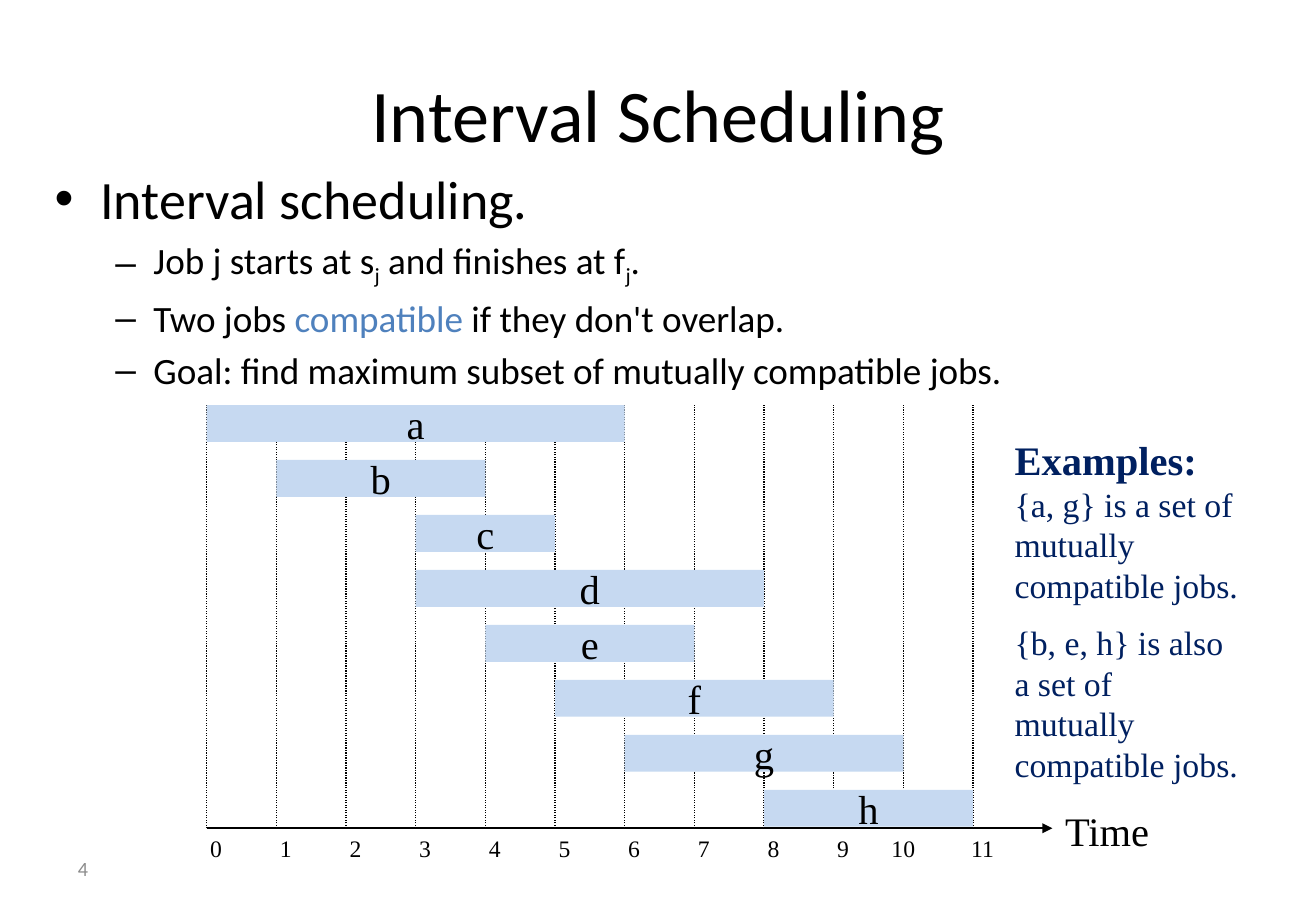
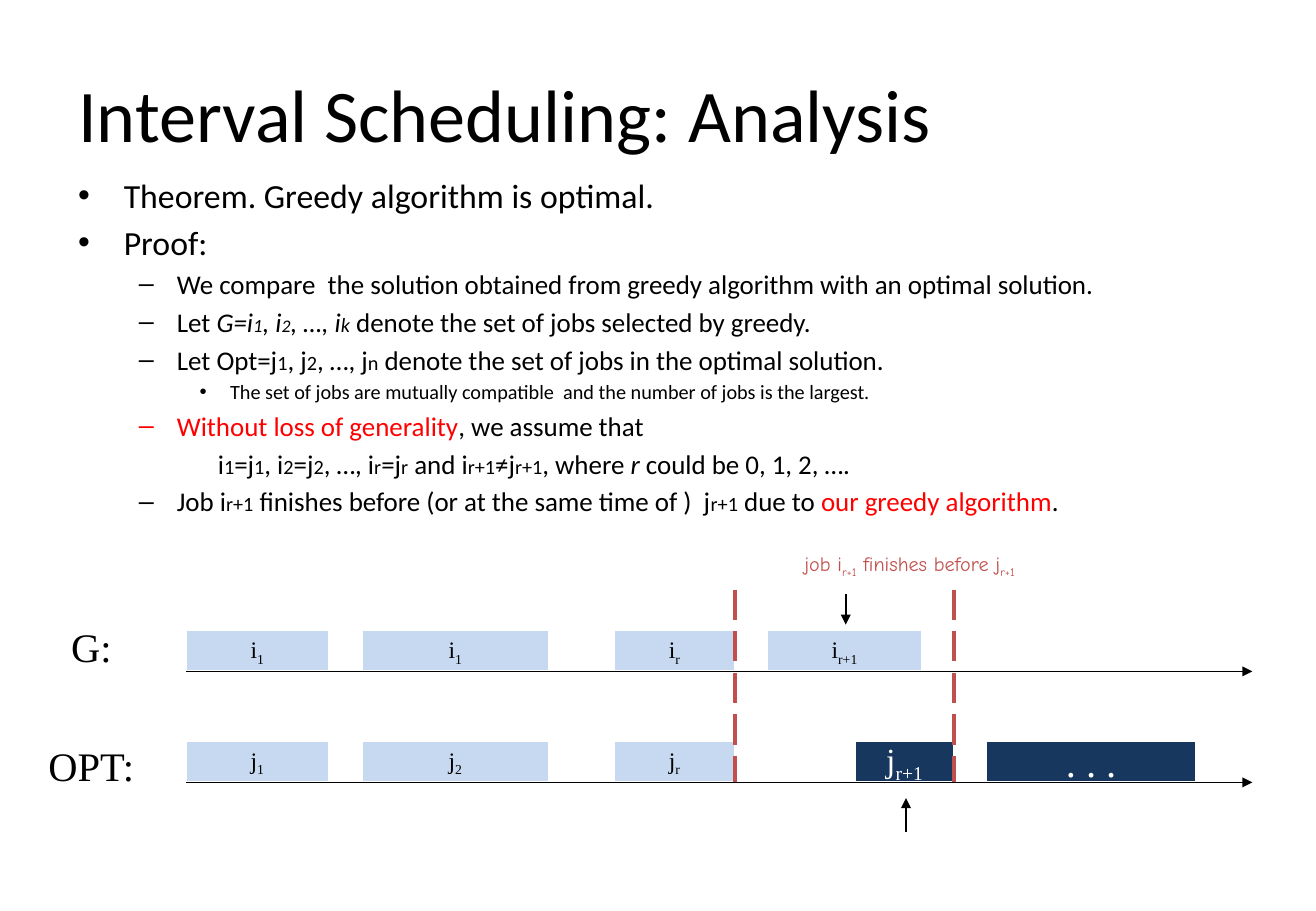
from dataclasses import dataclass

from lxml.etree import SubElement
from pptx import Presentation
from pptx.dml.color import RGBColor
from pptx.enum.dml import MSO_LINE as DASH
from pptx.enum.shapes import MSO_CONNECTOR as CONN, MSO_SHAPE as SHAPE
from pptx.enum.text import MSO_ANCHOR as ANCHOR, MSO_AUTO_SIZE as AUTO, PP_ALIGN as ALIGN
from pptx.oxml.ns import qn
from pptx.util import Cm, Pt


@dataclass(frozen=True)
class Theme:
    sans: str = "Calibri"
    serif: str = "Times New Roman"
    casual: str = "Comic Neue"
    black: str = "000000"
    white: str = "FFFFFF"
    red: str = "FF0000"
    accent: str = "4F81BD"
    marker: str = "C0504D"
    note: str = "002060"
    bar: str = "C6D9F1"
    dark_bar: str = "17375E"
    grey: str = "8C8C8C"
    title: int = 44
    big: int = 24
    medium: int = 20
    label: int = 14
    small: int = 12


T = Theme()
SUB = {"sub": True}
SMALL = {"size": T.small}


def write(p, text, low=None, font=T.serif, size=T.big, color=T.black,
          bold=False, italic=False, sub=False):
    for i, piece in enumerate(text.split("|")):
        if not piece:
            continue
        fmt = dict(font=font, size=size, color=color, bold=bold, italic=italic, sub=sub)
        if i % 2:
            fmt.update(low or {})
        r = p.add_run()
        r.text = piece
        r.font.name = fmt["font"]
        r.font.size = Pt(fmt["size"])
        r.font.color.rgb = RGBColor.from_string(fmt["color"])
        r.font.bold = fmt["bold"]
        r.font.italic = fmt["italic"]
        if fmt["sub"]:
            r._r.get_or_add_rPr().set("baseline", "-25000")


def write_spans(p, spans, **fmt):
    for span in spans:
        text, extra = (span, {}) if isinstance(span, str) else span
        write(p, text, **{**fmt, **extra})


def add_text(s, box, *lines, align=ALIGN.LEFT, anchor=ANCHOR.TOP, wrap=True,
             inset=None, **fmt):
    tf = s.shapes.add_textbox(*map(Cm, box)).text_frame
    tf.word_wrap = wrap
    tf.vertical_anchor = anchor
    if inset is not None:
        tf.margin_left = tf.margin_right = tf.margin_top = tf.margin_bottom = Cm(inset)
    for i, spans in enumerate(lines):
        p = tf.add_paragraph() if i else tf.paragraphs[0]
        p.alignment = align
        p.space_before = Pt(fmt.get("size", T.big) / 2 if i else 0)
        write_spans(p, spans, **fmt)


def add_bar(s, box, text, fill=T.bar, line=None, **fmt):
    sp = s.shapes.add_shape(SHAPE.RECTANGLE, *map(Cm, box))
    sp.shadow.inherit = False
    sp.fill.solid()
    sp.fill.fore_color.rgb = RGBColor.from_string(fill)
    if line:
        sp.line.color.rgb = RGBColor.from_string(line)
        sp.line.width = Pt(0.75)
    else:
        sp.line.fill.background()
    tf = sp.text_frame
    tf.word_wrap = False
    tf.vertical_anchor = ANCHOR.MIDDLE
    p = tf.paragraphs[0]
    p.alignment = ALIGN.CENTER
    write(p, text, low=SUB, **fmt)


def add_line(s, x1, y1, x2, y2, width, color=T.black, dash=None, arrow=False):
    cn = s.shapes.add_connector(CONN.STRAIGHT, Cm(x1), Cm(y1), Cm(x2), Cm(y2))
    cn.line.color.rgb = RGBColor.from_string(color)
    cn.line.width = Pt(width)
    if dash:
        cn.line.dash_style = dash
    if arrow:
        SubElement(cn.line._get_or_add_ln(), qn("a:tailEnd"), type="triangle")
    SubElement(cn._element.spPr, qn("a:effectLst"))


def place(shape, box):
    shape.left, shape.top, shape.width, shape.height = map(Cm, box)


def add_slide(prs, title, align, body_box, sizes, items):
    s = prs.slides.add_slide(prs.slide_layouts[1])
    p = s.shapes.title.text_frame.paragraphs[0]
    p.alignment = align
    write(p, title, font=T.sans, size=T.title)
    body = s.placeholders[1]
    place(body, body_box)
    tf = body.text_frame
    tf.auto_size = AUTO.NONE
    for i, (level, *spans) in enumerate(items):
        p = tf.add_paragraph() if i else tf.paragraphs[0]
        if level is None:
            level = 1
            pPr = p._p.get_or_add_pPr()
            pPr.set("marL", str(Cm(2.92)))
            pPr.set("indent", "0")
            SubElement(pPr, qn("a:buNone"))
        p.level = level
        p.space_before = Pt(sizes[level] * 0.2 if i else 0)
        write_spans(p, spans, font=T.sans, size=sizes[level])
    return s


def schedule_slide(prs):
    s = add_slide(prs, "Interval Scheduling", ALIGN.CENTER,
                  (0.89, 3.33, 24.77, 4.88), (32, 22), [
        (0, "Interval scheduling."),
        (1, ("Job j starts at s|j| and finishes at f|j|.", {"low": SUB})),
        (1, "Two jobs ", ("compatible ", {"color": T.accent}), "if they don't overlap."),
        (1, "Goal: find maximum subset of mutually compatible jobs."),
    ])
    left, right, top, axis = 4.32, 20.34, 8.47, 17.32
    step = (right - left) / 11
    row = (16.52 - top) / 7
    add_line(s, left, axis, 22, axis, 1.25, arrow=True)
    add_text(s, (22, 16.74, 2.29, 1.3), ["Time"], align=ALIGN.CENTER)
    for tick in range(12):
        x = left + tick * step
        nudge = 0 if tick == 10 else 0.2
        add_line(s, x, axis, x, top, 0.75, dash=DASH.ROUND_DOT)
        add_text(s, (x + nudge - 0.62, axis, 1.24, 0.86), [str(tick)],
                 align=ALIGN.CENTER, size=T.label)
    jobs = [("a", 0, 6), ("b", 1, 4), ("c", 3, 5), ("d", 3, 8),
            ("e", 4, 7), ("f", 5, 9), ("g", 6, 10), ("h", 8, 11)]
    for i, (name, start, end) in enumerate(jobs):
        add_bar(s, (left + start * step, top + i * row, (end - start) * step, 0.77), name)
    add_text(s, (20.96, 8.97, 5.23, 6.83),
             [("Examples: ", {"size": T.big, "bold": True}),
              "{a, g} is a set of mutually compatible jobs."],
             ["{b, e, h} is also a set of mutually compatible jobs."],
             size=T.medium, color=T.note)
    add_text(s, (1.38, 17.65, 6.43, 1.02), ["4"], anchor=ANCHOR.MIDDLE,
             font=T.sans, size=T.small, color=T.grey)


def add_timeline(s, label, label_top, top, jobs):
    add_text(s, (0.74, label_top, 2.34, 1.3), [label], align=ALIGN.CENTER,
             anchor=ANCHOR.MIDDLE, wrap=False)
    for x, width, text, fmt in jobs:
        add_bar(s, (x, top, width, 0.85), text, line=T.white, **{"size": T.label, **fmt})
    add_line(s, 3.89, top + 0.86, 26.18, top + 0.86, 1, arrow=True)


def analysis_slide(prs):
    red, italic = {"color": T.red}, {"italic": True}
    s = add_slide(prs, "Interval Scheduling: Analysis", ALIGN.LEFT,
                  (1.38, 3.52, 24.77, 13.56), (20, 16, 12), [
        (0, "Theorem. Greedy algorithm is optimal."),
        (0, "Proof:"),
        (1, "We compare  the solution obtained from greedy algorithm with an optimal solution."),
        (1, "Let ", ("G=i|1", {**italic, "low": {"size": 11}}),
         (", i|2", {**italic, "low": {"size": 10.5}}),
         (", …, i|k| ", {**italic, "low": SMALL}),
         "denote the set of jobs selected by greedy."),
        (1, ("Let Opt=j|1|, j|2|, …, j|n| denote the set of jobs in the optimal solution.",
             {"low": SMALL})),
        (2, "The set of jobs are mutually compatible  and the number of jobs is the largest."),
        (1, ("Without loss of generality", red), ", we assume that"),
        (None, ("i|1|=j|1|, i|2|=j|2|, …, i|r|=j|r| and i|r+1|≠j|r+1|, where ",
                {"low": SMALL}), ("r", italic), " could be 0, 1, 2, …."),
        (1, ("Job i|r+1| finishes before (or at the same time of )  j|r+1| due to ",
             {"low": SMALL}), ("our greedy algorithm", red), "."),
    ])
    columns = [(3.89, 2.98), (7.57, 3.9), (12.84, 2.52)]
    dark = {"fill": T.dark_bar, "color": T.white}
    greedy = [(*c, t, {}) for c, t in zip(columns, ("i|1", "i|1", "i|r"))]
    optimal = [(*c, t, {}) for c, t in zip(columns, ("j|1", "j|2", "j|r"))]
    greedy.append((16.05, 3.21, "i|r+1", {}))
    optimal += [(17.88, 2.06, "j|r+1", {**dark, "size": T.medium}),
                (20.63, 4.36, ". . .", {**dark, "size": T.big})]
    add_timeline(s, "G:", 12.86, 13.18, greedy)
    add_timeline(s, "OPT:", 15.35, 15.5, optimal)
    add_text(s, (15.79, 11.53, 6.45, 0.51),
             [("job i|r+1| finishes before j|r+1", {"low": SUB})],
             align=ALIGN.CENTER, inset=0, font=T.casual, size=T.small, color=T.marker)
    for x, y1, y2 in [(17.68, 12.42, 13.06), (18.94, 17.4, 16.69)]:
        add_line(s, x, y1, x, y2, 1.25, arrow=True)
    for x in (15.36, 19.94):
        add_line(s, x, 12.33, x, 16.36, 2.25, color=T.marker, dash=DASH.LONG_DASH)


def main():
    prs = Presentation()
    prs.slide_width, prs.slide_height = Cm(27.51), Cm(19.05)
    place(prs.slide_layouts[1].placeholders[0], (1.38, 0.76, 24.77, 3.18))
    schedule_slide(prs)
    analysis_slide(prs)
    prs.save("out.pptx")


if __name__ == "__main__":
    main()
